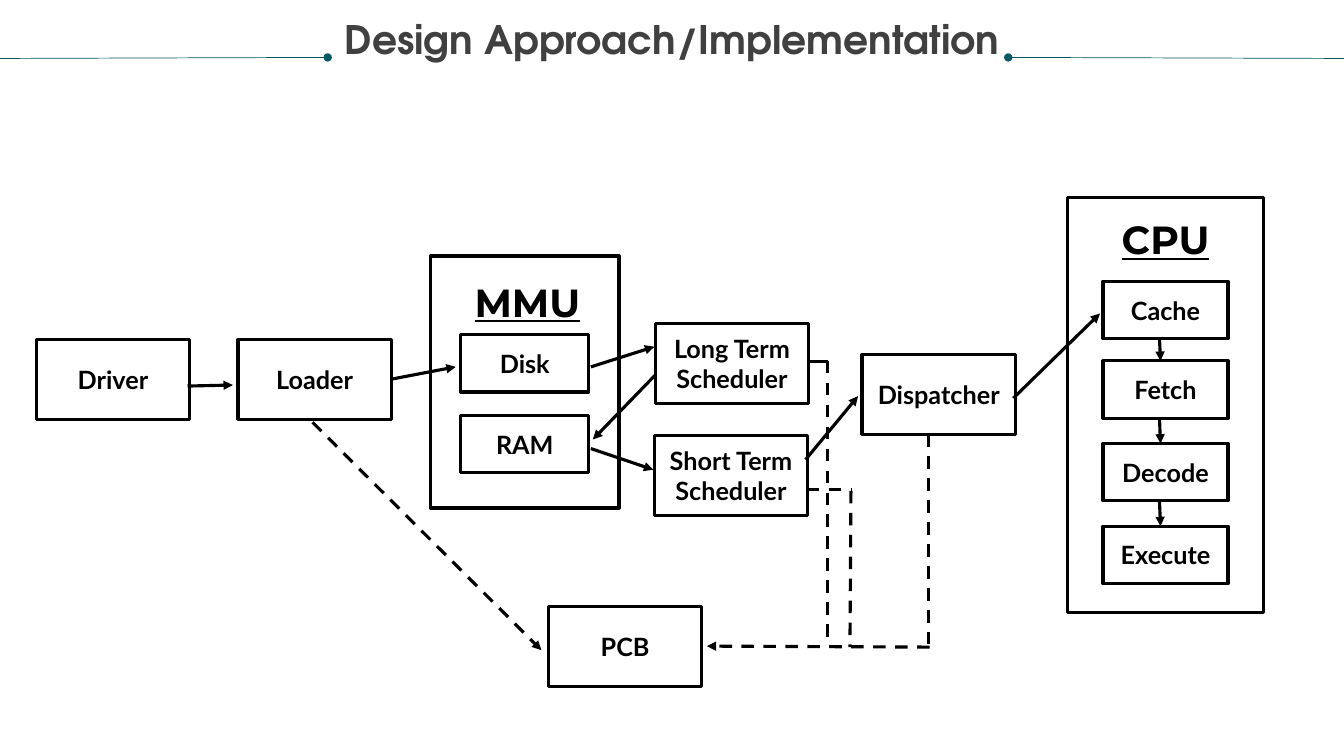
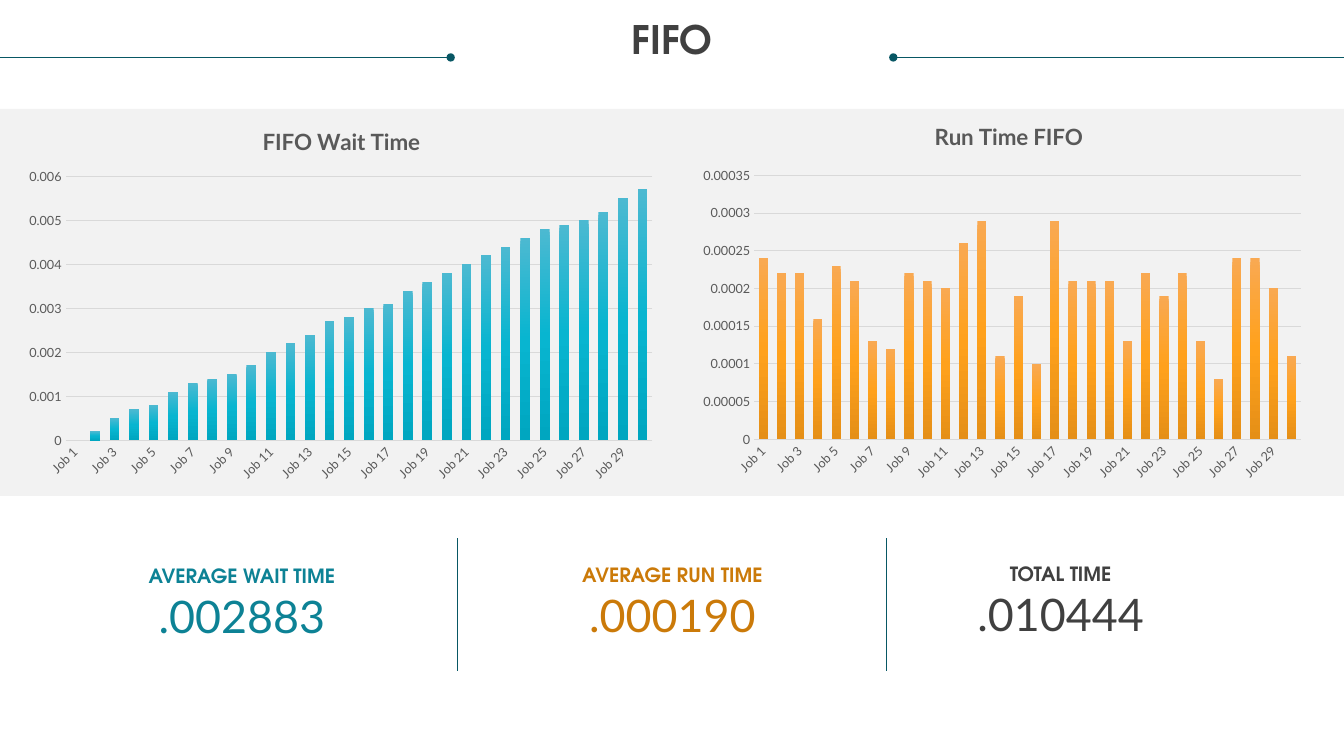
"""Build two slides: a scheduler design diagram and FIFO timing results."""
from copy import deepcopy

from lxml.etree import SubElement
from pptx import Presentation
from pptx.chart.data import CategoryChartData
from pptx.dml.color import RGBColor
from pptx.enum.chart import XL_CHART_TYPE, XL_TICK_MARK
from pptx.enum.dml import MSO_LINE
from pptx.enum.shapes import MSO_CONNECTOR, MSO_SHAPE
from pptx.enum.text import MSO_ANCHOR, MSO_AUTO_SIZE, PP_ALIGN
from pptx.oxml.ns import qn
from pptx.util import Inches, Pt

BLACK, WHITE, DARK, GREY = "000000", "FFFFFF", "404040", "595959"
TEAL, CYAN, ORANGE = "085764", "0D8295", "CB7A09"
BAND, GRID = "F2F2F2", "D9D9D9"
HEAD_FONT, BODY_FONT, GROUP_FONT = "TeX Gyre Adventor", "Lato", "Montserrat"
rgb = RGBColor.from_string


def write(tf, text, size=18, font=BODY_FONT, color=BLACK, bold=True,
          underline=None, spacing=None):
    for i, part in enumerate(text.split("\n")):
        p = tf.paragraphs[0] if i == 0 else tf.add_paragraph()
        p.alignment = PP_ALIGN.CENTER
        p.line_spacing = spacing
        r = p.add_run()
        r.text = part
        r.font.size = Pt(size)
        r.font.name = font
        r.font.color.rgb = rgb(color)
        r.font.bold = bold
        r.font.underline = underline


def connect(s, x1, y1, x2, y2, color=BLACK, width=2.25, dash=False,
            head=None, tail=None):
    sp = s.shapes.add_connector(MSO_CONNECTOR.STRAIGHT, Inches(x1), Inches(y1),
                                Inches(x2), Inches(y2))
    sp.line.color.rgb = rgb(color)
    sp.line.width = Pt(width)
    if dash:
        sp.line.dash_style = MSO_LINE.DASH
    props = sp._element.spPr
    ln = props.find(qn("a:ln"))
    for tag, end in (("a:headEnd", head), ("a:tailEnd", tail)):
        if end:
            SubElement(ln, qn(tag), type=end)
    SubElement(props, qn("a:effectLst"))


prs = Presentation()
prs.slide_width = Inches(13.33)
prs.slide_height = Inches(7.5)

for title, left_end, right_start, edge_y in (
        ("Design Approach/Implementation", 3.25, 10, 0.58),
        ("FIFO", 4.47, 8.86, 0.57)):
    s = prs.slides.add_slide(prs.slide_layouts[5])
    sp = s.shapes.title
    sp.left, sp.top = Inches(0.25), Inches(0.2)
    sp.width, sp.height = Inches(12.83), Inches(0.42)
    tf = sp.text_frame
    tf.margin_left = tf.margin_right = tf.margin_top = tf.margin_bottom = 0
    tf.vertical_anchor = MSO_ANCHOR.TOP
    tf.auto_size = MSO_AUTO_SIZE.NONE
    write(tf, title, size=28, font=HEAD_FONT, color=DARK, spacing=0.9)
    connect(s, 0, edge_y, left_end, 0.57, TEAL, 0.5, tail="oval")
    connect(s, right_start, 0.57, 13.33, edge_y, TEAL, 0.5, head="oval")

design, fifo = prs.slides

step_h = 0.57
steps = [("Cache", 2.79), ("Fetch", 3.58), ("Decode", 4.4), ("Execute", 5.22)]
boxes = [
    ("", 10.59, 1.96, 1.94, 4.12),
    ("", 4.27, 2.54, 1.87, 2.5),
    ("Disk", 4.57, 3.32, 1.27, 0.57),
    ("RAM", 4.57, 4.12, 1.27, 0.57),
]
boxes += [(name, x, y, 1.52, 0.79) for name, x, y in (
    ("Driver", 0.36, 3.37), ("Loader", 2.36, 3.37),
    ("Long Term\nScheduler", 6.5, 3.21), ("Short Term\nScheduler", 6.49, 4.32),
    ("Dispatcher", 8.55, 3.52), ("PCB", 5.44, 6.02))]
boxes += [(name, 10.94, y, 1.24, step_h) for name, y in steps]
for name, x, y, w, h in boxes:
    sp = design.shapes.add_shape(MSO_SHAPE.RECTANGLE, Inches(x), Inches(y),
                                 Inches(w), Inches(h))
    sp.shadow.inherit = False
    sp.fill.solid()
    sp.fill.fore_color.rgb = rgb(WHITE)
    sp.line.color.rgb = rgb(BLACK)
    sp.line.width = Pt(2.25)
    if name:
        sp.text_frame.vertical_anchor = MSO_ANCHOR.MIDDLE
        write(sp.text_frame, name)

for name, x, y in (("MMU", 4.44, 2.71), ("CPU", 10.77, 2.09)):
    sp = design.shapes.add_textbox(Inches(x), Inches(y), Inches(1.58), Inches(0.57))
    sp.text_frame.word_wrap = True
    write(sp.text_frame, name, size=28, font=GROUP_FONT, underline=True)

arrows = [
    (1.86, 3.83, 2.31, 3.82), (3.89, 3.76, 4.52, 3.64),
    (5.86, 3.64, 6.49, 3.44), (6.5, 3.72, 5.88, 4.36),
    (5.86, 4.45, 6.48, 4.66), (7.99, 4.56, 8.51, 3.93),
    (10.05, 3.95, 10.91, 3.11),
]
arrows += [(11.5, above + step_h, 11.51, below)
           for (_, above), (_, below) in zip(steps, steps[1:])]
for ends in arrows:
    connect(design, *ends, tail="triangle")

connect(design, 8.03, 3.59, 8.21, 3.59)
for ends in ((8.21, 3.58, 8.21, 6.41), (8, 4.86, 8.45, 4.86),
             (8.44, 4.87, 8.43, 6.42), (9.21, 4.31, 9.21, 6.42)):
    connect(design, *ends, dash=True)
for ends in ((3.1, 4.19, 5.37, 6.45), (9.22, 6.42, 7.01, 6.41)):
    connect(design, *ends, dash=True, tail="triangle")

sp = fifo.shapes.add_shape(MSO_SHAPE.RECTANGLE, 0, Inches(1.08),
                           prs.slide_width, Inches(3.84))
sp.shadow.inherit = False
sp.fill.solid()
sp.fill.fore_color.rgb = rgb(BAND)
sp.line.fill.background()

for x in (4.54, 8.79):
    connect(fifo, x, 5.34, x, 6.66, TEAL, 0.5)

for label, value, x, y, color in (
        ("AVERAGE WAIT TIME", ".002883", 0.9, 5.56, CYAN),
        ("AVERAGE RUN TIME", ".000190", 5.17, 5.55, ORANGE),
        ("TOTAL TIME", ".010444", 9.02, 5.54, DARK)):
    for text, top, h, style in (
            (label, y, 0.24, dict(size=14, font=HEAD_FONT, spacing=Pt(19))),
            (value, y + 0.28, 0.54, dict(size=32, bold=False))):
        sp = fifo.shapes.add_textbox(Inches(x), Inches(top), Inches(3), Inches(h))
        tf = sp.text_frame
        tf.word_wrap = True
        tf.margin_left = tf.margin_right = tf.margin_top = tf.margin_bottom = 0
        write(tf, text, color=color, **style)

wait_times = [
    0, 0.0002, 0.0005, 0.0007, 0.0008, 0.0011, 0.0013, 0.0014, 0.0015, 0.0017,
    0.002, 0.0022, 0.0024, 0.0027, 0.0028, 0.003, 0.0031, 0.0034, 0.0036, 0.0038,
    0.004, 0.0042, 0.0044, 0.0046, 0.0048, 0.0049, 0.005, 0.0052, 0.0055, 0.0057]
run_times = [
    0.00024, 0.00022, 0.00022, 0.00016, 0.00023, 0.00021, 0.00013, 0.00012,
    0.00022, 0.00021, 0.0002, 0.00026, 0.00029, 0.00011, 0.00019, 0.0001,
    0.00029, 0.00021, 0.00021, 0.00021, 0.00013, 0.00022, 0.00019, 0.00022,
    0.00013, 0.00008, 0.00024, 0.00024, 0.0002, 0.00011]

for title, values, place, inner, top_value, unit, colors in (
        ("Run Time FIFO", run_times, (6.51, 1.03, 6.99, 3.89),
         (7.48, 1.74, 5.42, 2.62), 0.00035, 0.00005,
         ("F9A952", "FFA11C", "E58F17")),
        ("FIFO Wait Time", wait_times, (0.17, 1.08, 6.43, 3.78),
         (0.65, 1.75, 5.82, 2.62), 0.006, 0.001,
         ("4CB9D1", "08B5D0", "00A6C0"))):
    data = CategoryChartData()
    data.categories = [f"Job {n}" for n in range(1, len(values) + 1)]
    data.add_series("Series 1", values)
    chart = fifo.shapes.add_chart(XL_CHART_TYPE.COLUMN_CLUSTERED,
                                  *map(Inches, place), data).chart
    chart.has_legend = False
    chart.font.name = BODY_FONT
    chart.font.size = Pt(10)
    chart.font.color.rgb = rgb(BLACK)
    chart.has_title = True
    chart.chart_title.include_in_layout = False
    write(chart.chart_title.text_frame, title, size=16, color=GREY)

    cat, val = chart.category_axis, chart.value_axis
    for axis in (cat, val):
        axis.major_tick_mark = axis.minor_tick_mark = XL_TICK_MARK.NONE
        axis.tick_labels.font.name = BODY_FONT
        axis.tick_labels.font.size = Pt(9)
        axis.tick_labels.font.color.rgb = rgb(GREY)
    cat.format.line.color.rgb = rgb(GRID)
    cat.format.line.width = Pt(1)
    cat._element.find(qn("c:txPr")).find(qn("a:bodyPr")).set("rot", "-2700000")
    val.format.line.fill.background()
    val.major_gridlines.format.line.color.rgb = rgb(GRID)
    val.major_gridlines.format.line.width = Pt(0.75)
    val.minimum_scale, val.maximum_scale, val.major_unit = 0, top_value, unit

    plot = chart.plots[0]
    plot.vary_by_categories = False
    plot.gap_width, plot.overlap = 100, -24
    ser = plot.series[0]
    fill = ser.format.fill
    fill.gradient()
    fill.gradient_angle = 270
    stops = ser._element.xpath(".//a:gsLst")[0]
    stops.insert(1, deepcopy(stops[0]))
    for stop, position, color in zip(fill.gradient_stops, (0, 0.5, 1), colors):
        stop.position = position
        stop.color.rgb = rgb(color)

    x, y, w, h = place
    left, top, width, height = inner
    shares = ((left - x) / w, (top - y) / h, width / w, height / h)
    area = chart._chartSpace.xpath(".//c:plotArea")[0]
    for old in area.findall(qn("c:layout")):
        area.remove(old)
    layout = SubElement(area, qn("c:layout"))
    area.insert(0, layout)
    manual = SubElement(layout, qn("c:manualLayout"))
    SubElement(manual, qn("c:layoutTarget"), val="inner")
    for tag in ("c:xMode", "c:yMode"):
        SubElement(manual, qn(tag), val="edge")
    for tag, share in zip(("c:x", "c:y", "c:w", "c:h"), shares):
        SubElement(manual, qn(tag), val=f"{share:.4f}")

prs.save("out.pptx")
